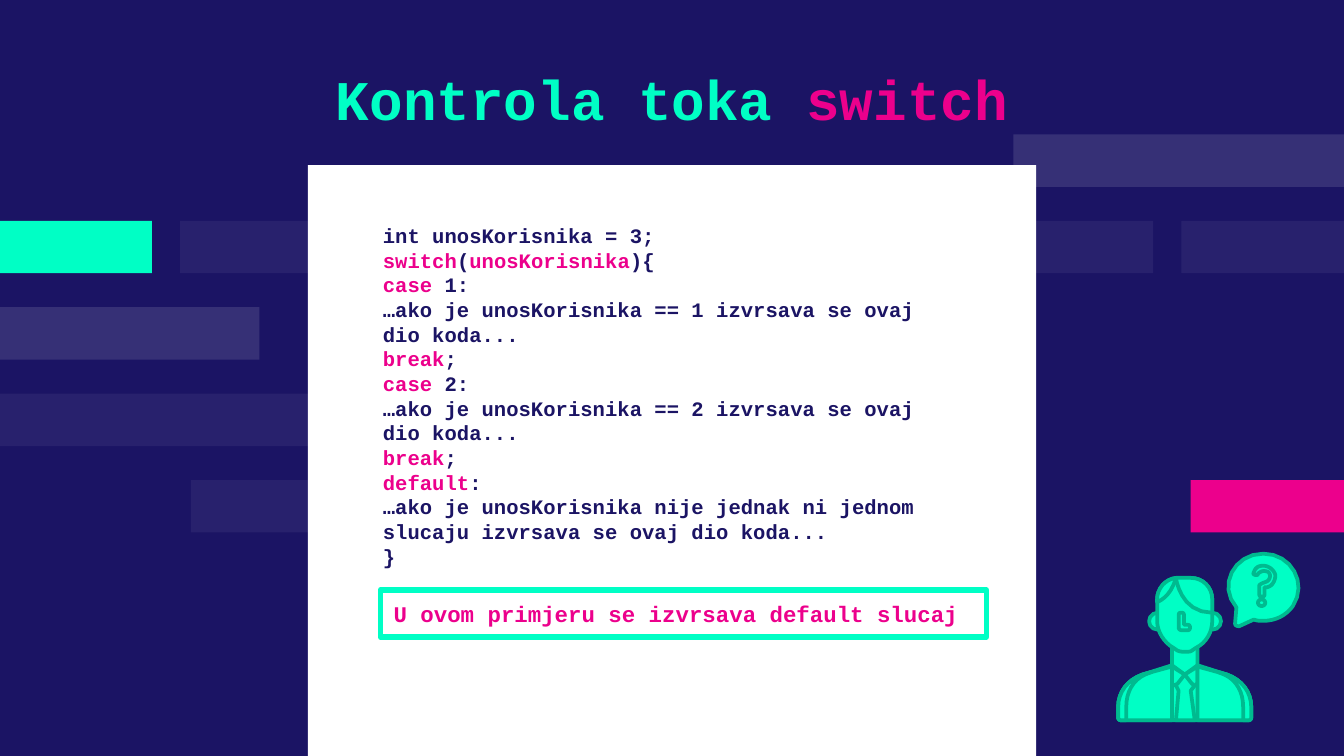
from pptx import Presentation
from pptx.dml.color import RGBColor
from pptx.enum.shapes import MSO_SHAPE as Kind
from pptx.enum.text import MSO_ANCHOR as Anchor, PP_ALIGN as Align
from pptx.oxml.ns import qn
from pptx.util import Inches, Pt
from lxml.etree import SubElement as Sub

NAVY, MINT, PINK, WHITE, TEAL = "1B1464", "00FFC5", "EC008C", "FFFFFF", "00BA8F"
FONT = "Courier New"
UNIT = 0.01
ROW, STEP, BAR = 1.0, 0.643, 0.39

CODE = [
    "int unosKorisnika = 3;",
    "*switch*(*unosKorisnika*){",
    "*case* 1:",
    "…ako je unosKorisnika == 1 izvrsava se ovaj dio koda...",
    "*break*;",
    "*case* 2:",
    "…ako je unosKorisnika == 2 izvrsava se ovaj dio koda...",
    "*break*;",
    "*default*:",
    "…ako je unosKorisnika nije jednak ni jednom slucaju izvrsava se ovaj dio koda...",
    "}",
]

BARS = [
    (2, 0, 1.93, WHITE, 12), (1, 1.34, 1.21, WHITE, 6),
    (3, 0, 2.46, WHITE, 6), (1, 0, 1.13, MINT, 100),
    (4, 1.42, 1.21, WHITE, 6), (4, 8.86, 1.14, PINK, 100),
    (1, 8.79, 1.21, WHITE, 6), (1, 5.99, 2.59, WHITE, 6),
    (0, 7.54, 2.46, WHITE, 12),
]

BUBBLE = [(108, 0), (86, 0, 74, 24, 88, 40), (87, 52), (87, 53, 88, 54, 90, 54),
          (101, 49), (103, 50, 106, 50, 108, 50), (117, 50, 125, 46, 130, 39),
          (141, 22, 129, 0, 108, 0)]
NECK = [(40, 62), (40, 88), (49.5, 96), (59, 88), (59, 62)]
HEAD = [(43, 18), (35, 19, 29, 26, 29, 34), (29, 50), (29, 58, 34, 66, 41, 70),
        (44, 72), (46, 73, 48, 73, 50, 73), (52, 73, 54, 73, 55, 72), (58, 70),
        (66, 66, 70, 58, 70, 50), (70, 34), (70, 25, 63, 18, 54, 18)]
FRINGE = [(43, 18), (35, 19, 29, 26, 29, 34), (29, 36), (29, 36, 39, 33, 43, 18)]
HAIR = [(43, 18), (43, 18, 46, 44, 70, 44), (70, 34), (70, 25, 63, 18, 54, 18)]
NOSE = [(47, 44), (46, 44, 45, 44, 45, 46), (45, 55), (45, 56, 46, 57, 47, 57),
        (52, 57), (54, 57, 54, 53, 52, 53), (49, 53), (49, 46), (49, 44, 48, 44, 47, 44)]
TORSO = [(40, 83), (18, 90), (7, 94, 0, 103, 0, 114), (0, 122), (0, 123, 1, 124, 2, 124),
         (97, 124), (98, 124, 99, 123, 99, 122), (99, 114), (99, 103, 92, 94, 81, 90),
         (59, 83), (49.5, 90)]
TIE = [(43, 90), (43, 98), (45, 102), (43, 124), (57, 124), (54, 102), (57, 98), (57, 90)]
COLLAR = [(40, 84), (40, 95), (40, 97, 41, 98, 42, 98), (43, 98, 43, 97, 44, 97), (49.5, 90)]
ARM = [(18, 90), (7, 94, 0, 103, 0, 114), (0, 122), (0, 123, 1, 124, 2, 124)]
COAT = [(40, 84), *ARM, (40, 124)]
SLEEVE = [(25, 88), *ARM, (6, 124), (6, 114), (6, 103, 11, 94, 20, 90)]
MARK = [(108, 9), (105, 9, 102, 10, 101, 14), (100, 15, 101, 16, 103, 16),
        (103, 16, 104, 16, 104, 15), (105, 14, 107, 13, 108, 13),
        (109, 13, 111, 13, 112, 14), (114, 16, 113, 20, 110, 21),
        (107, 22, 105, 23, 105, 24), (105, 30), (105, 32, 106, 32, 107, 32),
        (108, 32, 109, 32, 109, 30), (109, 25), (110, 25, 110, 25, 111, 25),
        (115, 24, 117, 20, 117, 16), (116, 12, 112, 9, 108, 9)]


def color(code):
    return RGBColor.from_string(code)


def paint(shape, fill=None, line=None, width=2, alpha=100):
    shape.shadow.inherit = False
    if fill:
        shape.fill.solid()
        shape.fill.fore_color.rgb = color(fill)
        if alpha < 100:
            tint = shape.fill._xPr.find(qn("a:solidFill"))[0]
            Sub(tint, qn("a:alpha")).set("val", str(alpha * 1000))
    else:
        shape.fill.background()
    if line:
        shape.line.color.rgb = color(line)
        shape.line.width = Pt(width)
        Sub(shape.line._get_or_add_ln(), qn("a:round"))
    else:
        shape.line.fill.background()


def put(slide, kind, box):
    return slide.shapes.add_shape(kind, *map(Inches, box))


def write(shape, lines, size, inks, align=Align.LEFT, anchor=Anchor.TOP):
    frame = shape.text_frame
    frame.word_wrap = True
    frame.vertical_anchor = anchor
    frame.margin_left = frame.margin_right = Inches(0.1)
    frame.margin_top = frame.margin_bottom = Inches(0.1)
    for i, line in enumerate(lines):
        para = frame.paragraphs[0] if i == 0 else frame.add_paragraph()
        para.alignment = align
        for j, part in enumerate(line.split("*")):
            if part:
                run = para.add_run()
                run.text = part
                run.font.name = FONT
                run.font.size = Pt(size)
                run.font.bold = True
                run.font.color.rgb = color(inks[j % 2])


def trace(path):
    pts = [path[0]]
    for seg in path[1:]:
        if len(seg) == 2:
            pts.append(seg)
            continue
        a, b = pts[-1]
        c, d, e, f, g, h = seg
        for n in range(1, 9):
            t = n / 8
            u = 1 - t
            k = u ** 3, 3 * u * u * t, 3 * u * t * t, t ** 3
            pts.append((k[0] * a + k[1] * c + k[2] * e + k[3] * g,
                        k[0] * b + k[1] * d + k[2] * f + k[3] * h))
    return pts


def draw_bars(slide, top):
    for row, left, width, fill, alpha in BARS:
        bar = put(slide, Kind.RECTANGLE, (left, top + row * STEP, width, BAR))
        paint(bar, fill, alpha=alpha)


def draw_title(slide, box):
    text = slide.shapes.add_textbox(*map(Inches, box))
    write(text, ["Kontrola toka *switch*"], 30, (MINT, PINK), Align.CENTER)


def draw_card(slide, x, y, w, h):
    paint(put(slide, Kind.RECTANGLE, (x, y, w, h)), WHITE)
    code = slide.shapes.add_textbox(*map(Inches, (x + 0.46, y + 0.33, 4.51, 2.75)))
    write(code, CODE, 11, (NAVY, PINK))
    note = put(slide, Kind.RECTANGLE, (x + 0.54, y + 3.16, 4.51, 0.35))
    paint(note, line=MINT, width=3)
    write(note, ["U ovom primjeru se izvrsava default slucaj"], 12, (PINK,) * 2,
          anchor=Anchor.MIDDLE)


def draw_person(slide, x, y):
    def disc(a, b, w, h):
        oval = put(slide, Kind.OVAL, (x + a * UNIT, y + b * UNIT, w * UNIT, h * UNIT))
        paint(oval, MINT, TEAL)

    def form(path, flip=False):
        pts = [(Inches(x + (99 - a if flip else a) * UNIT), Inches(y + b * UNIT))
               for a, b in trace(path)]
        pen = slide.shapes.build_freeform(*pts[0])
        pen.add_line_segments(pts[1:], close=True)
        paint(pen.convert_to_shape(), MINT, TEAL)

    for left in (23, 64):
        disc(left, 44, 12.5, 12.5)
    for path in (BUBBLE, NECK, TORSO, HEAD, FRINGE, HAIR, NOSE, TIE):
        form(path)
    for path in (COLLAR, COAT, SLEEVE):
        form(path)
        form(path, True)
    form(MARK)
    disc(104, 34, 5.5, 5)


def main():
    deck = Presentation()
    deck.slide_width, deck.slide_height = Inches(10), Inches(5.625)
    slide = deck.slides.add_slide(deck.slide_layouts[6])
    slide.background.fill.solid()
    slide.background.fill.fore_color.rgb = color(NAVY)
    draw_bars(slide, ROW)
    draw_card(slide, 2.29, 1.23, 5.42, 4.4)
    draw_title(slide, (1.4, 0.38, 7.2, 0.73))
    draw_person(slide, 8.32, 4.12)
    deck.save("out.pptx")


if __name__ == "__main__":
    main()
